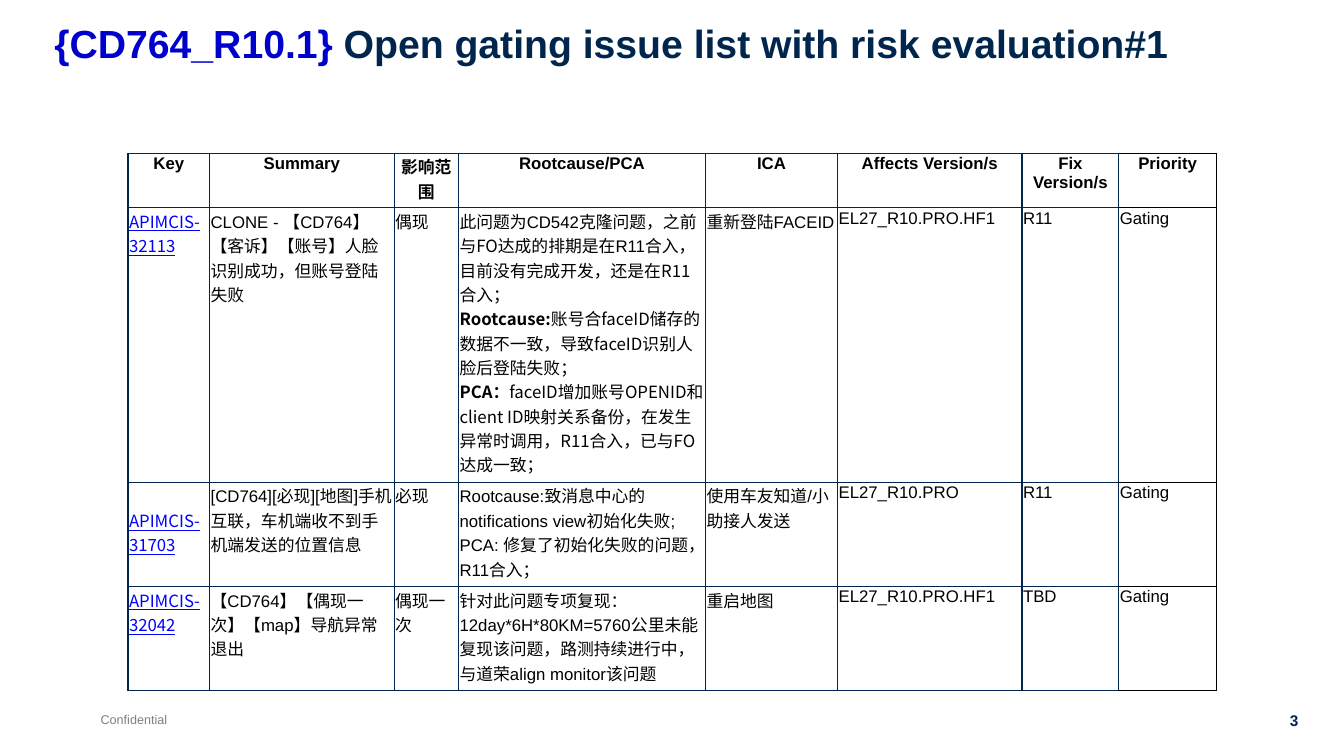
import pptx
import pptx.util
import pptx.dml.color
import pptx.enum.text
import pptx.oxml.ns
import lxml.etree

ALIGN = pptx.enum.text.PP_ALIGN
ANCHOR = pptx.enum.text.MSO_ANCHOR
NAVY, BLACK = "00264E", "000000"
SANS, CJK = "Arial", "Noto Sans CJK SC"

# Text styles: size, font, colour, bold, underline
STYLES = {
    "project": (28, SANS, "0000CC", True, False),
    "title": (28, SANS, NAVY, True, False),
    "footer": (9, SANS, "808080", False, False),
    "number": (11, SANS, NAVY, True, False),
    "head": (12, SANS, BLACK, True, False),
    "body": (12, SANS, BLACK, False, False),
    "cjk": (12, CJK, BLACK, False, False),
    "label": (12, CJK, BLACK, True, False),
    "key": (12, CJK, "0000FF", False, True),
}


def colour(value):
    return pptx.dml.color.RGBColor.from_string(value)


class Page:
    """One slide on a grid of 160 columns by 90 rows."""
    UNIT = pptx.util.Inches(1) / 12

    def __init__(self, deck):
        deck.slide_width, deck.slide_height = self.grid(160), self.grid(90)
        self.slide = deck.slides.add_slide(deck.slide_layouts[6])

    def grid(self, count):
        return pptx.util.Emu(round(count * self.UNIT))

    def add_spans(self, frame, paragraphs, align=ALIGN.LEFT, spacing=None):
        for index, spans in enumerate(paragraphs):
            para = frame.add_paragraph() if index else frame.paragraphs[0]
            para.alignment = align
            if spacing:
                para.line_spacing = spacing
            for text, style in spans:
                span = para.add_run()
                span.text = text
                size, face, tint, bold, underline = STYLES[style]
                font = span.font
                font.size, font.name = pptx.util.Pt(size), face
                font.bold, font.underline = bold, underline
                font.color.rgb = colour(tint)
                east = lxml.etree.SubElement(
                    span._r.get_or_add_rPr(), pptx.oxml.ns.qn("a:ea"))
                east.set("typeface", CJK)

    def text(self, place, spans, align=ALIGN.LEFT, wrap=True, spacing=None):
        box = self.slide.shapes.add_textbox(*map(self.grid, place))
        box.text_frame.word_wrap = wrap
        self.add_spans(box.text_frame, [spans], align, spacing)

    def border(self, cell, side, tint, width):
        line = lxml.etree.SubElement(
            cell._tc.get_or_add_tcPr(), pptx.oxml.ns.qn("a:ln" + side),
            w=str(pptx.util.Pt(width)))
        fill = lxml.etree.SubElement(line, pptx.oxml.ns.qn("a:solidFill"))
        lxml.etree.SubElement(fill, pptx.oxml.ns.qn("a:srgbClr"), val=tint)

    def table(self, left, top, widths, heights, rows):
        table = self.slide.shapes.add_table(
            len(heights), len(widths), self.grid(left), self.grid(top),
            self.grid(sum(widths)), self.grid(sum(heights))).table
        table.first_row = table.horz_banding = False
        for column, width in zip(table.columns, widths):
            column.width = self.grid(width)
        for row, height in zip(table.rows, heights):
            row.height = self.grid(height)
        for r, row in enumerate(rows):
            for c, paragraphs in enumerate(row):
                cell = table.cell(r, c)
                last = c == len(widths) - 1
                for side in "LRTB":
                    thin = last and side != "L"
                    self.border(cell, side, BLACK if thin else NAVY, 0.5 if thin else 1)
                cell.fill.background()
                cell.margin_left = cell.margin_right = cell.margin_top = self.grid(0.12)
                cell.margin_bottom = self.grid(0.6)
                self.add_spans(cell.text_frame, paragraphs,
                               ALIGN.LEFT if r else ALIGN.CENTER)
        return table


def plain(text, style="body"):
    return [[(text, style)]]


HEADINGS = ["Key", "Summary", "影响范围", "Rootcause/PCA", "ICA",
            "Affects Version/s", "Fix Version/s", "Priority"]

# Key, summary, scope, root cause, ICA, affected version, fix version
ISSUES = [
    ("APIMCIS-32113",
     plain("CLONE - 【CD764】【客诉】【账号】人脸识别成功，但账号登陆失败"),
     "偶现",
     [[("此问题为CD542", "body"), ("克隆问题，之前与FO达成的排期是在", "cjk"),
       ("R11", "body"), ("合入，目前没有完成开发，还是在R11合入；", "cjk")],
      [("Rootcause:", "label"),
       ("账号合faceID储存的数据不一致，导致faceID识别人脸后登陆失败；", "cjk")],
      [("PCA：", "label"),
       ("faceID增加账号OPENID和client ID映射关系备份，在发生异常时调用，"
        "R11合入，已与FO 达成一致；", "cjk")]],
     "重新登陆FACEID", "EL27_R10.PRO.HF1", "R11"),
    ("APIMCIS-31703",
     plain("[CD764][必现][地图]手机互联，车机端收不到手机端发送的位置信息"),
     "必现",
     plain("Rootcause:致消息中心的notifications view初始化失败;")
     + plain("PCA: 修复了初始化失败的问题，R11合入；"),
     "使用车友知道/小助接人发送", "EL27_R10.PRO", "R11"),
    ("APIMCIS-32042",
     [[("【CD764", "body"), ("】【偶现一次】【", "cjk"), ("map", "body"),
       ("】导航异常退出", "cjk")]],
     "偶现一次",
     [[("针对此问题专项复现：12day*6H*80KM=5760", "body"),
       ("公里未能复现该问题，路测持续进行中，与道荣", "cjk"),
       ("align monitor", "body"), ("该问题", "cjk")]],
     "重启地图", "EL27_R10.PRO.HF1", "TBD"),
]


def main():
    deck = pptx.Presentation()
    page = Page(deck)

    # Footer and page number
    page.text((10.8, 84.12, 10.44, 3), [("Confidential", "footer")], wrap=False)
    page.text((151.08, 84.12, 4.68, 3.48), [("3", "number")], ALIGN.RIGHT)

    # Title
    page.text((5.28, 2.4, 153.48, 7.56),
              [("{CD764_R10.1} ", "project"),
               ("Open gating issue list with risk evaluation#1", "title")],
              spacing=0.9)

    # Issue table
    rows = [[plain(name, "head") for name in HEADINGS]]
    for key, summary, scope, cause, action, affected, fix in ISSUES:
        rows.append([plain(key, "key"), summary, plain(scope), cause, plain(action),
                     plain(affected), plain(fix), plain("Gating")])
    table = page.table(15.24, 18.24,
                       [9.72, 21.96, 7.68, 29.4, 15.72, 21.96, 11.52, 11.64],
                       [6.5, 32.7, 12.4, 12.4], rows)
    table.cell(2, 0).vertical_anchor = ANCHOR.MIDDLE

    deck.save("out.pptx")


if __name__ == "__main__":
    main()
